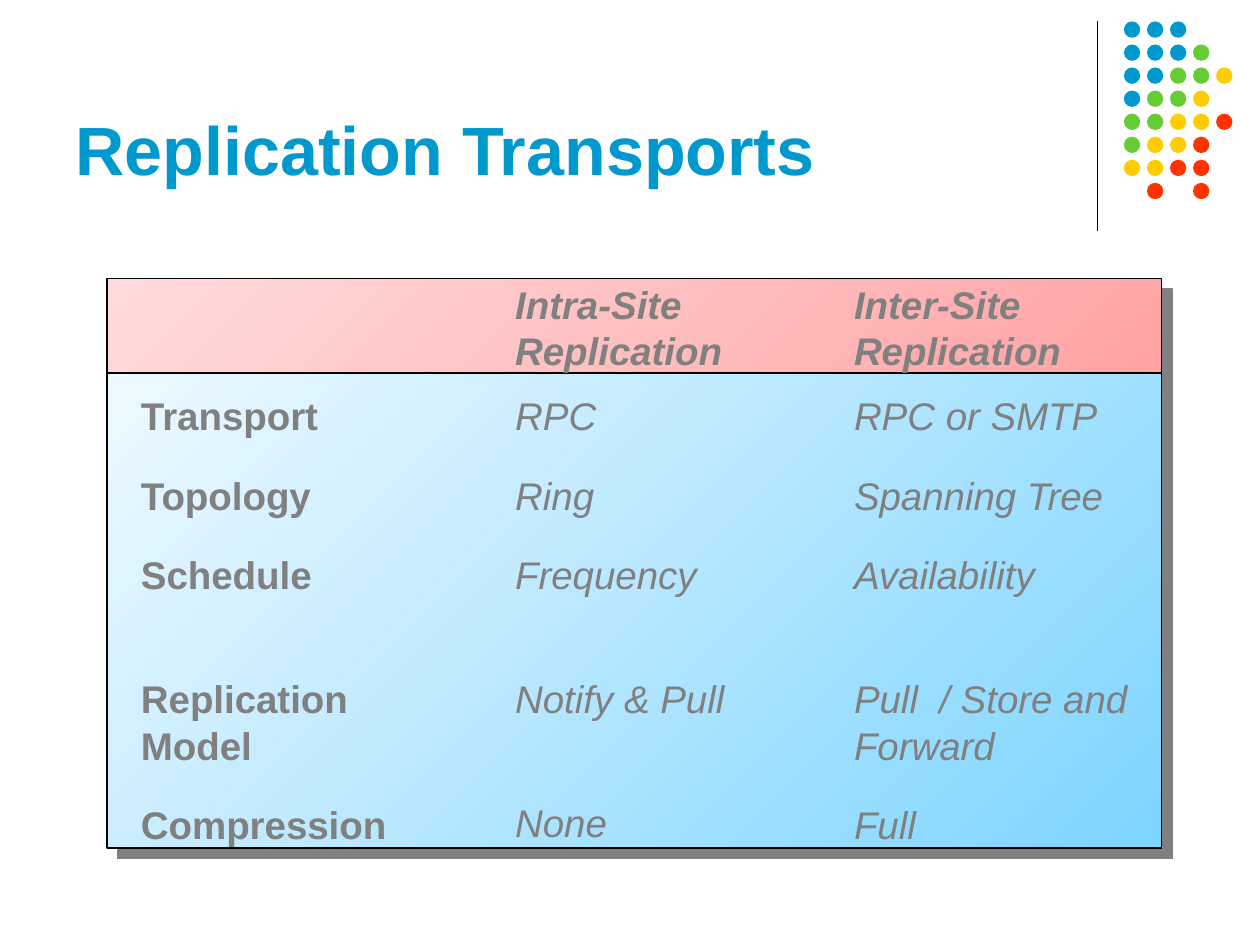
from lxml.etree import SubElement
from pptx import Presentation
from pptx.dml.color import RGBColor
from pptx.enum.shapes import MSO_CONNECTOR, MSO_SHAPE
from pptx.enum.text import MSO_ANCHOR, MSO_AUTO_SIZE, PP_ALIGN
from pptx.oxml.ns import qn
from pptx.util import Inches, Pt

FONT = "Arial"
BLACK = RGBColor(0x00, 0x00, 0x00)
GREY = RGBColor(0x80, 0x80, 0x80)
BLUE = RGBColor(0x00, 0x99, 0xCD)
GREEN = RGBColor(0x66, 0xCC, 0x33)
YELLOW = RGBColor(0xFF, 0xCC, 0x00)
RED = RGBColor(0xFF, 0x33, 0x00)
PINK_LIGHT, PINK_DARK = RGBColor(0xFF, 0xDB, 0xDC), RGBColor(0xFF, 0xA3, 0xA5)
SKY_LIGHT, SKY_DARK = RGBColor(0xEE, 0xF9, 0xFF), RGBColor(0x7D, 0xD4, 0xFF)

DOT_COLOURS = {"B": BLUE, "G": GREEN, "Y": YELLOW, "R": RED}
DOT_ROWS = ("BBB", "BBBG", "BBGGY", "BGGY", "GGYYR", "GYYR", "YYRR", " R R")
DOT_LEFT, DOT_TOP, DOT_STEP, DOT_SIZE = 8.92, 0.17, 0.183, 0.13

PANEL_LEFT, PANEL_WIDTH = 0.85, 8.37
HEADER_TOP, BODY_TOP = 2.18, 3.06
TEXT_SIZE, ROW_GAP, LINE_PITCH = 22, 19.2, 25.3

# Each cell is its text and the number of lines the text takes.
ROW_LINES = (1, 1, 2, 2, 1)
LABELS = (("Transport", 1), ("Topology", 1), ("Schedule", 1),
          ("Replication\nModel", 2), ("Compression", 1))
INTRA_SITE = (("RPC", 1), ("Ring", 1), ("Frequency", 1),
              ("Notify & Pull", 1), ("None", 1))
INTER_SITE = (("RPC or SMTP", 1), ("Spanning Tree", 1), ("Availability", 1),
              ("Pull  / Store and Forward", 2), ("Full", 1))


def add_rule(page):
    rule = page.shapes.add_connector(MSO_CONNECTOR.STRAIGHT, Inches(8.71),
                                     Inches(0.17), Inches(8.71), Inches(1.83))
    rule.line.color.rgb = BLACK
    rule.line.width = Pt(0.75)
    SubElement(rule._element.spPr, qn("a:effectLst"))


def add_dots(page):
    dots = page.shapes.add_group_shape()
    for row, letters in enumerate(DOT_ROWS):
        for column, letter in enumerate(letters):
            if letter == " ":
                continue
            dot = dots.shapes.add_shape(
                MSO_SHAPE.OVAL,
                Inches(DOT_LEFT + column * DOT_STEP),
                Inches(DOT_TOP + row * DOT_STEP),
                Inches(DOT_SIZE), Inches(DOT_SIZE))
            dot.shadow.inherit = False
            dot.fill.solid()
            dot.fill.fore_color.rgb = DOT_COLOURS[letter]
            dot.line.fill.background()


def style_font(font, size, colour, bold, italic):
    font.name, font.size = FONT, Pt(size)
    font.color.rgb = colour
    font.bold, font.italic = bold, italic


def set_title(page, text):
    title = page.shapes.title
    title.left, title.top = Inches(0.5), Inches(0.13)
    title.width, title.height = Inches(8.25), Inches(1.42)
    frame = title.text_frame
    frame.vertical_anchor = MSO_ANCHOR.BOTTOM
    frame.auto_size = MSO_AUTO_SIZE.NONE
    para = frame.paragraphs[0]
    para.alignment = PP_ALIGN.LEFT
    span = para.add_run()
    span.text = text
    style_font(span.font, 39, BLUE, True, False)


def add_shadow(shape):
    """Give the shape a hard grey shadow towards the lower right."""
    shape.shadow.inherit = False
    effects = shape._element.spPr.find(qn("a:effectLst"))
    shadow = SubElement(effects, qn("a:outerShdw"), dist=str(Pt(8.5)),
                        dir=str(45 * 60000), algn="ctr", rotWithShape="0")
    SubElement(shadow, qn("a:srgbClr"), val=str(GREY))


def add_panel(page, top, height, light, dark):
    panel = page.shapes.add_shape(MSO_SHAPE.RECTANGLE, Inches(PANEL_LEFT),
                                  Inches(top), Inches(PANEL_WIDTH), Inches(height))
    panel.fill.gradient()
    panel.fill.gradient_angle = 315
    for stop, colour in zip(panel.fill.gradient_stops, (light, dark)):
        stop.color.rgb = colour
    panel.line.color.rgb = BLACK
    panel.line.width = Pt(1)
    add_shadow(panel)


def add_column(page, place, cells, bold=False, italic=False):
    """Stack cells in one text box so that rows line up across columns."""
    box = page.shapes.add_textbox(*(Inches(length) for length in place))
    frame = box.text_frame
    frame.word_wrap = True
    frame.auto_size = MSO_AUTO_SIZE.SHAPE_TO_FIT_TEXT
    for row, (text, _) in enumerate(cells):
        para = frame.add_paragraph() if row else frame.paragraphs[0]
        if row:
            unused = ROW_LINES[row - 1] - cells[row - 1][1]
            para.space_before = Pt(ROW_GAP + unused * LINE_PITCH)
        for index, line in enumerate(text.split("\n")):
            if index:
                para.add_line_break()
            span = para.add_run()
            span.text = line
            style_font(span.font, TEXT_SIZE, GREY, bold, italic)
        para.font.size = Pt(TEXT_SIZE)


def main():
    deck = Presentation()
    deck.slide_width, deck.slide_height = Inches(10), Inches(7.5)
    page = deck.slides.add_slide(deck.slide_layouts[5])
    add_rule(page)
    add_dots(page)
    set_title(page, "Replication Transports")
    add_panel(page, 2.21, 0.77, PINK_LIGHT, PINK_DARK)
    add_panel(page, 2.96, 3.77, SKY_LIGHT, SKY_DARK)
    add_column(page, (1.02, BODY_TOP, 2.29, 3.61), LABELS, bold=True)
    add_column(page, (3.99, BODY_TOP, 1.98, 3.61), INTRA_SITE, italic=True)
    add_column(page, (6.68, BODY_TOP, 2.44, 3.61), INTER_SITE, italic=True)
    for left, width, heading in ((3.99, 1.98, "Intra-Site\nReplication"),
                                 (6.68, 2.06, "Inter-Site\nReplication")):
        add_column(page, (left, HEADER_TOP, width, 0.8), ((heading, 2),),
                   bold=True, italic=True)
    deck.save("out.pptx")


if __name__ == "__main__":
    main()
